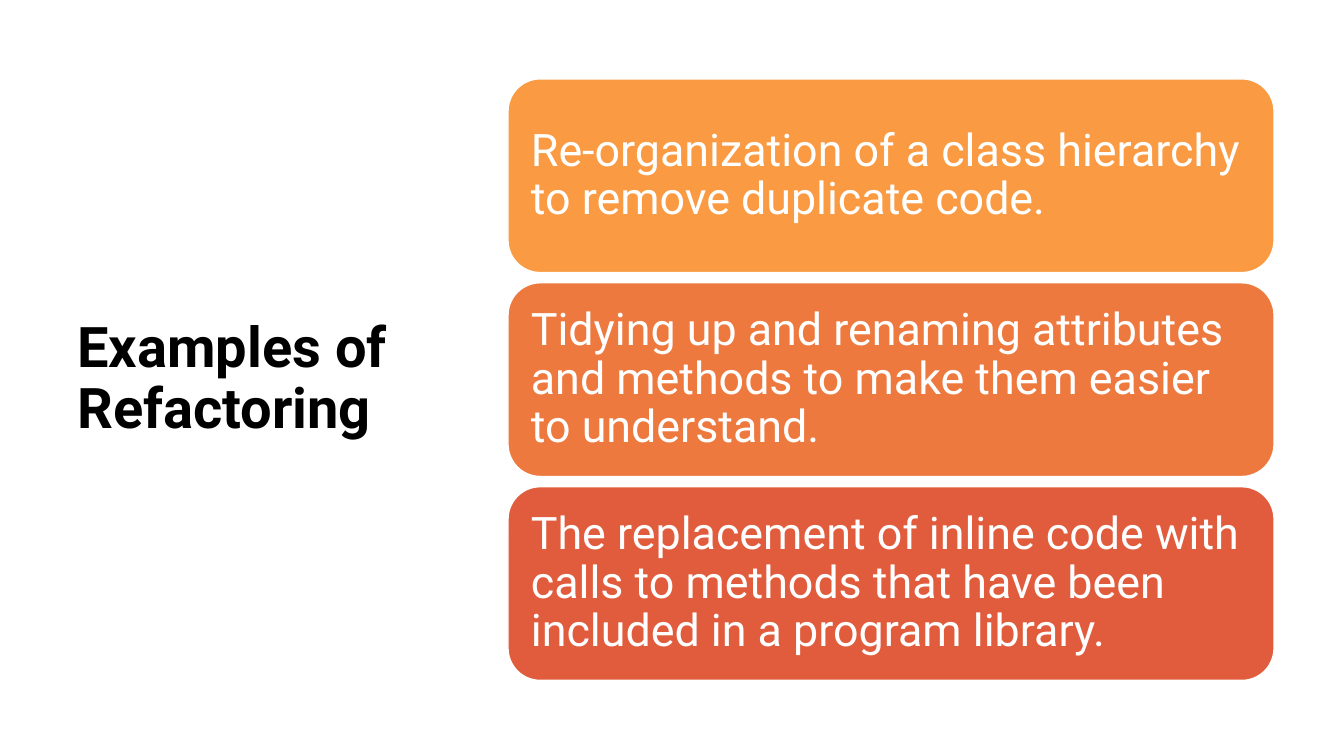
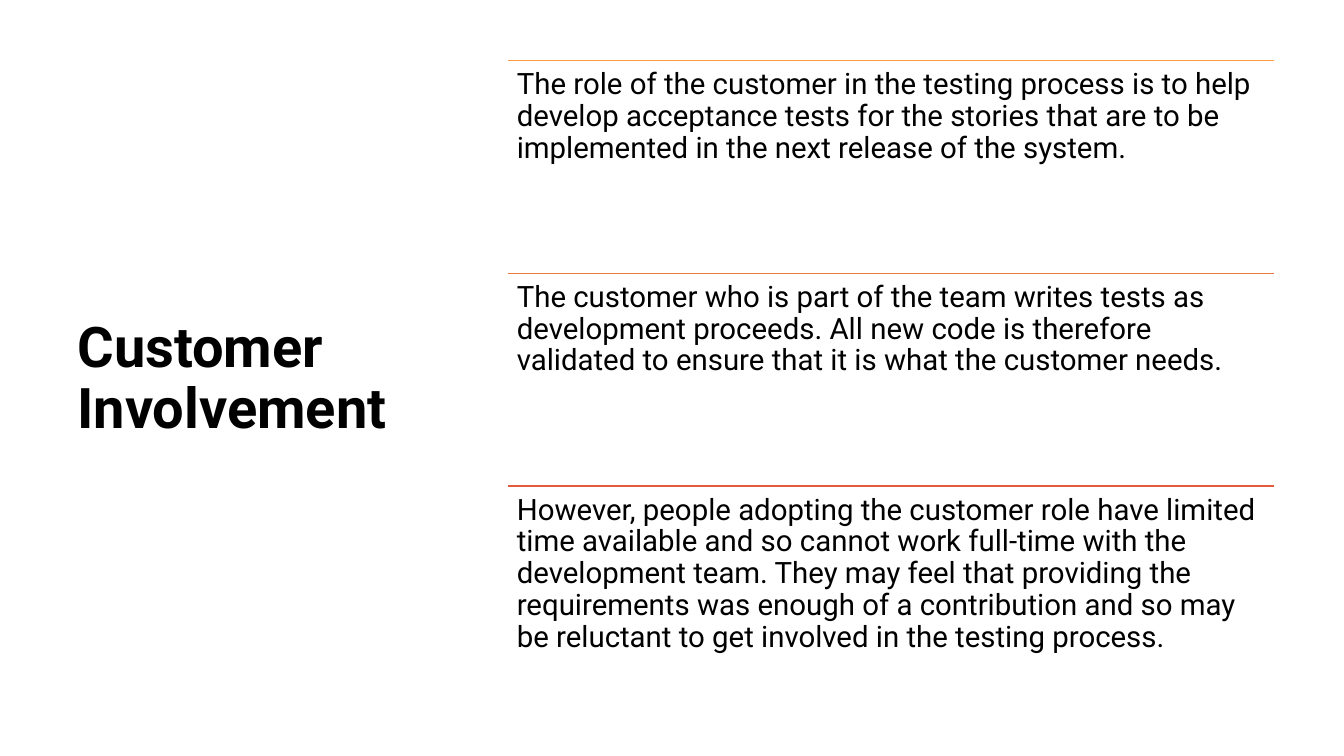
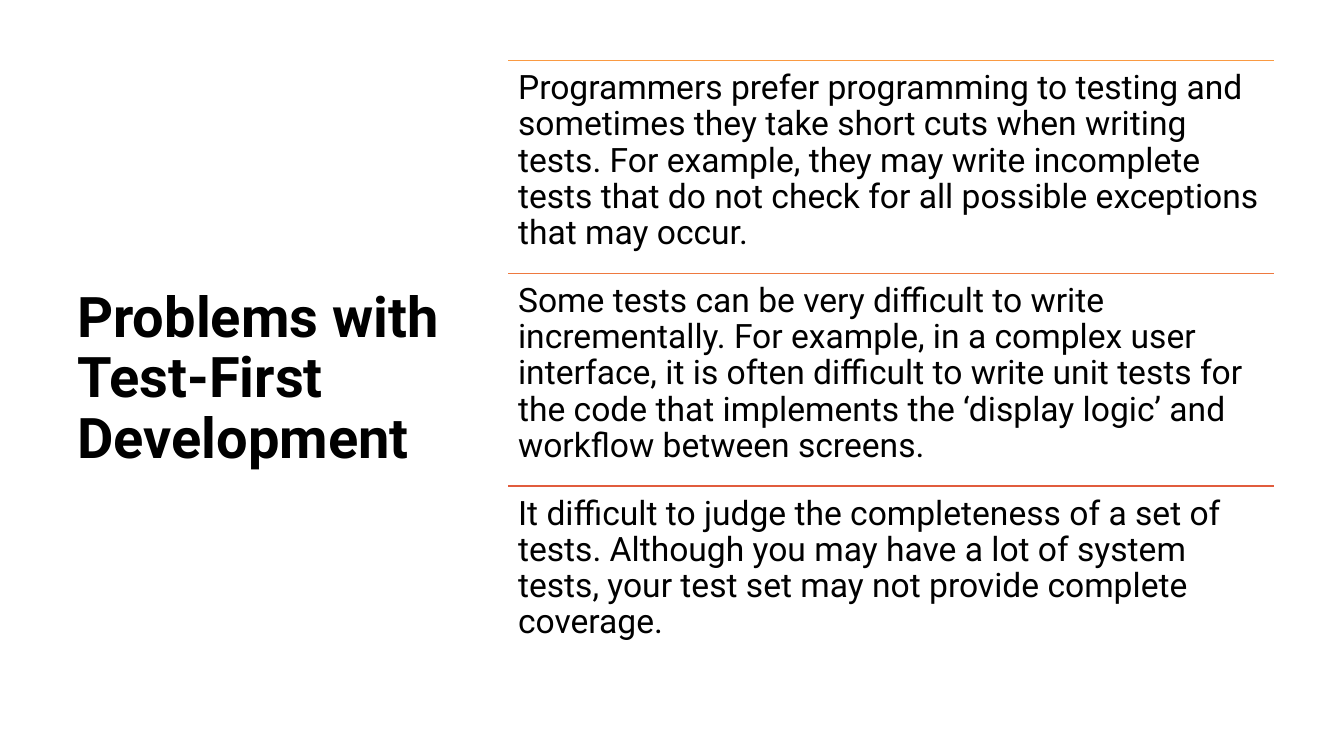
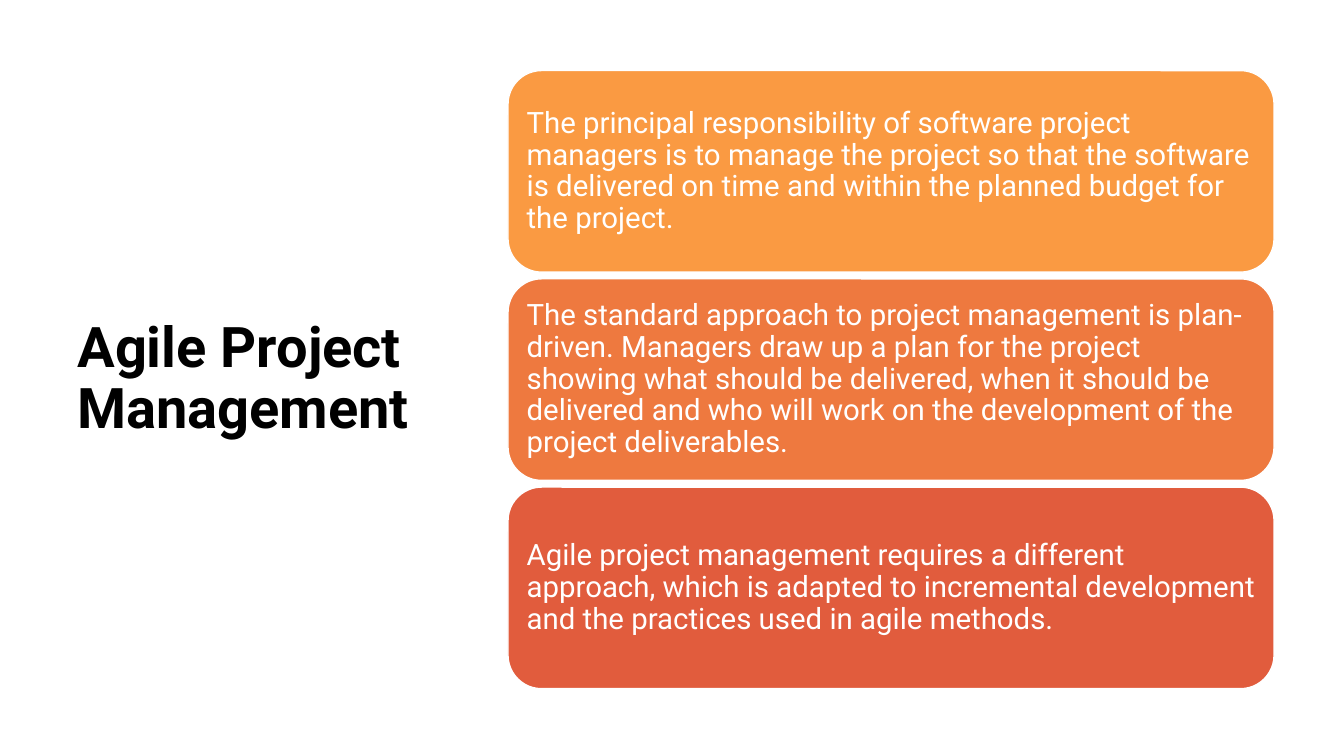
from collections import namedtuple

from lxml.etree import SubElement
from pptx import Presentation
from pptx.dml.color import RGBColor
from pptx.enum.shapes import MSO_CONNECTOR as Connector, MSO_SHAPE as Shape
from pptx.enum.text import MSO_ANCHOR as Anchor, PP_ALIGN as Align
from pptx.oxml.ns import qn
from pptx.util import Pt

Box = namedtuple("Box", "left top width height")

# Shared look
COLORS = {
    "text": "000000",
    "white": "FFFFFF",
    "amber": "FA9A42",
    "orange": "EE793F",
    "red": "E15C3D",
}
ACCENTS = ("amber", "orange", "red")
FONT = "Roboto"
TITLE_BOX = Box(48.2, 43.2, 275, 456)
BODY_BOX = Box(362.9, 43.2, 547.2, 456)
TITLE_MARGIN = 7.2
MARGIN_PER_SIZE = 0.3  # inner margin as a share of the text size


def color(name):
    return RGBColor.from_string(COLORS[name])


def in_points(box):
    return [Pt(round(length, 2)) for length in box]


def write(shape, text, size, color_name, margin, anchor=Anchor.TOP, bold=False):
    frame = shape.text_frame
    frame.word_wrap = True
    frame.vertical_anchor = anchor
    frame.margin_left = frame.margin_right = Pt(margin)
    frame.margin_top = frame.margin_bottom = Pt(margin)
    frame.text = text
    para = frame.paragraphs[0]
    para.alignment = Align.LEFT
    para.line_spacing = 0.9
    font = para.runs[0].font
    font.name, font.size, font.bold = FONT, Pt(size), bold
    font.color.rgb = color(color_name)


def add_title(page, box, text):
    title = page.shapes.add_textbox(*in_points(box))
    write(title, text, 40, "text", TITLE_MARGIN, Anchor.MIDDLE, bold=True)


def add_cards(page, box, texts, size, height, gap):
    """Rounded cards, stacked and centred vertically in the box."""
    stack = len(texts) * (height + gap) - gap
    first_top = box.top + (box.height - stack) / 2
    for index, (text, accent) in enumerate(zip(texts, ACCENTS)):
        place = Box(box.left, first_top + index * (height + gap), box.width, height)
        card = page.shapes.add_shape(Shape.ROUNDED_RECTANGLE, *in_points(place))
        card.shadow.inherit = False
        card.fill.solid()
        card.fill.fore_color.rgb = color(accent)
        card.line.color.rgb = color("white")
        card.line.width = Pt(1)
        write(card, text, size, "white", size * MARGIN_PER_SIZE, Anchor.MIDDLE)


def add_ruled_rows(page, box, texts, size):
    """Equal rows of text, each under a coloured rule."""
    row_height = box.height / len(texts)
    for index, (text, accent) in enumerate(zip(texts, ACCENTS)):
        top = box.top + index * row_height
        rule = page.shapes.add_connector(
            Connector.STRAIGHT, *in_points((box.left, top, box.left + box.width, top)))
        rule.line.color.rgb = color(accent)
        rule.line.width = Pt(1)
        SubElement(rule.line._get_or_add_ln().getparent(), qn("a:effectLst"))
        row = page.shapes.add_textbox(
            *in_points(Box(box.left, top, box.width, row_height)))
        write(row, text, size, "text", size * MARGIN_PER_SIZE)


# Title, body type, body settings, body texts
SLIDES = [
    ("Examples of Refactoring", add_cards, {"size": 32, "height": 138.4, "gap": 7.26}, [
        "Re-organization of a class hierarchy to remove duplicate code.",
        "Tidying up and renaming attributes and methods to make them easier to "
        "understand.",
        "The replacement of inline code with calls to methods that have been "
        "included in a program library.",
    ]),
    ("Customer Involvement", add_ruled_rows, {"size": 21}, [
        "The role of the customer in the testing process is to help develop "
        "acceptance tests for the stories that are to be implemented in the next "
        "release of the system.",
        "The customer who is part of the team writes tests as development proceeds. "
        "All new code is therefore validated to ensure that it is what the customer "
        "needs.",
        "However, people adopting the customer role have limited time available and "
        "so cannot work full-time with the development team. They may feel that "
        "providing the requirements was enough of a contribution and so may be "
        "reluctant to get involved in the testing process.",
    ]),
    ("Problems with Test-First Development", add_ruled_rows, {"size": 24}, [
        "Programmers prefer programming to testing and sometimes they take short "
        "cuts when writing tests. For example, they may write incomplete tests that "
        "do not check for all possible exceptions that may occur.",
        "Some tests can be very difficult to write incrementally. For example, in a "
        "complex user interface, it is often difficult to write unit tests for the "
        "code that implements the ‘display logic’ and workflow between screens.",
        "It difficult to judge the completeness of a set of tests. Although you may "
        "have a lot of system tests, your test set may not provide complete coverage.",
    ]),
    ("Agile Project Management", add_cards, {"size": 21, "height": 144, "gap": 4.76}, [
        "The principal responsibility of software project managers is to manage the "
        "project so that the software is delivered on time and within the planned "
        "budget for the project.",
        "The standard approach to project management is plan-driven. Managers draw "
        "up a plan for the project showing what should be delivered, when it should "
        "be delivered and who will work on the development of the project "
        "deliverables.",
        "Agile project management requires a different approach, which is adapted to "
        "incremental development and the practices used in agile methods.",
    ]),
]


def main():
    deck = Presentation()
    deck.slide_width, deck.slide_height = Pt(960), Pt(540)
    blank = deck.slide_layouts[6]
    for title, add_body, settings, texts in SLIDES:
        page = deck.slides.add_slide(blank)
        add_title(page, TITLE_BOX, title)
        add_body(page, BODY_BOX, texts, **settings)
    deck.save("out.pptx")


if __name__ == "__main__":
    main()
